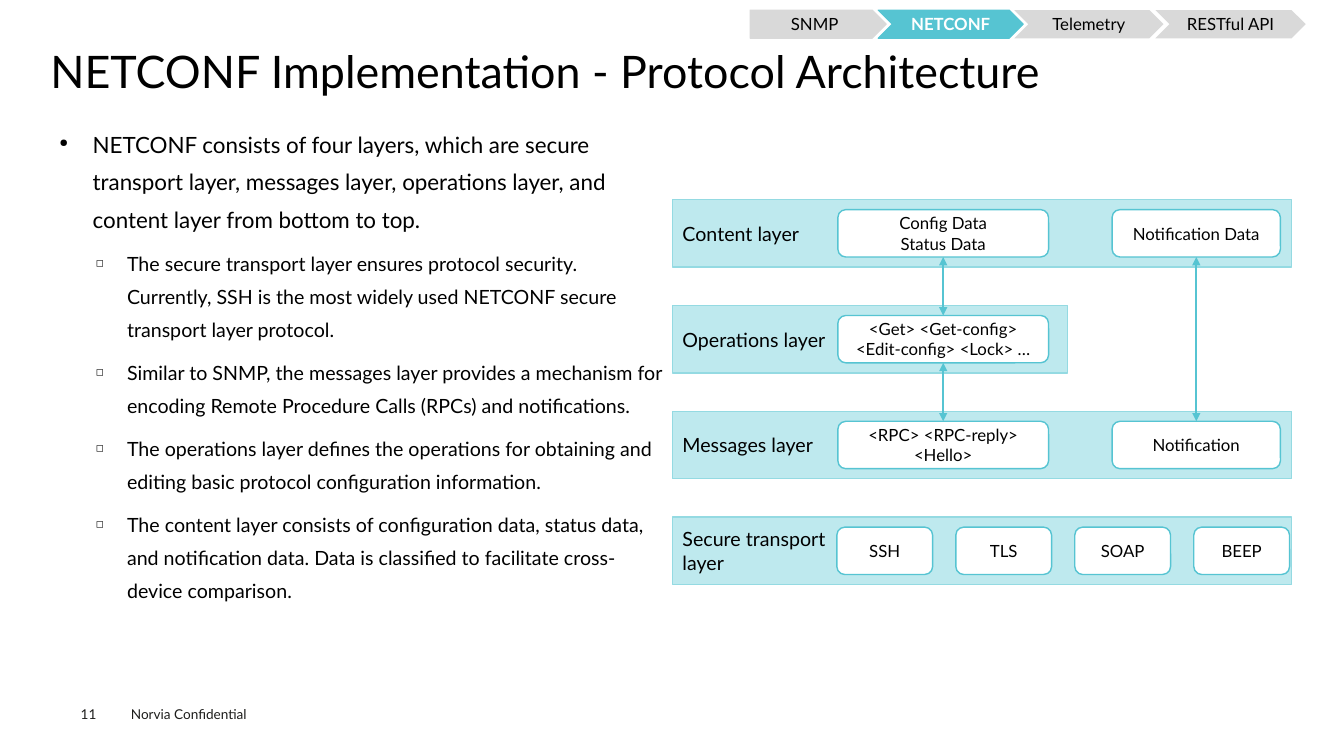
"""Build the slide on the four layers of the NETCONF protocol architecture."""
from lxml.etree import SubElement
from pptx import Presentation
from pptx.dml.color import RGBColor
from pptx.enum.shapes import MSO_CONNECTOR, MSO_SHAPE as SHAPE
from pptx.enum.text import MSO_ANCHOR as ANCHOR, MSO_AUTO_SIZE as AUTO_SIZE, PP_ALIGN as ALIGN
from pptx.oxml.ns import qn
from pptx.util import Pt

PX = 9144
FONT = "Lato"
BLACK = RGBColor(0x00, 0x00, 0x00)
WHITE = RGBColor(0xFF, 0xFF, 0xFF)
INK = RGBColor(0x1D, 0x1D, 0x1B)
GREY = RGBColor(0xD9, 0xD9, 0xD9)
TEAL = RGBColor(0x56, 0xC4, 0xD2)
BAND_FILL = RGBColor(0xBE, 0xE9, 0xEE)
BAND_EDGE = RGBColor(0x94, 0xDA, 0xE2)


def write(shape, text, size, color=BLACK, align=ALIGN.LEFT, anchor=ANCHOR.TOP, insets=(10, 5)):
    """Fill a shape with one paragraph per line of text."""
    frame = shape.text_frame
    frame.word_wrap = True
    frame.auto_size = AUTO_SIZE.NONE
    frame.vertical_anchor = anchor
    frame.margin_left = frame.margin_right = insets[0] * PX
    frame.margin_top = frame.margin_bottom = insets[1] * PX
    frame.text = text
    for paragraph in frame.paragraphs:
        paragraph.alignment = align
        paragraph.font.name = FONT
        paragraph.font.size = Pt(size)
        paragraph.font.color.rgb = color
    return frame


def add_block(shapes, kind, box, fill, edge, edge_width=1):
    """Add a filled preset shape, outlined when an edge colour is given."""
    block = shapes.add_shape(kind, *(length * PX for length in box))
    block.shadow.inherit = False
    block.fill.solid()
    block.fill.fore_color.rgb = fill
    if edge is None:
        block.line.fill.background()
    else:
        block.line.color.rgb = edge
        block.line.width = Pt(edge_width)
    return block


deck = Presentation()
deck.slide_width, deck.slide_height = 1333 * PX, 750 * PX
slide = deck.slides.add_slide(deck.slide_layouts[5])

title = slide.shapes.title
title.left, title.top, title.width, title.height = 50 * PX, 49 * PX, 1235 * PX, 54 * PX
heading = write(title, "NETCONF Implementation - Protocol Architecture", 32, insets=(0, 0))
heading.paragraphs[0].line_spacing = 0.9

footer = slide.shapes.add_textbox(120 * PX, 695 * PX, 160 * PX, 27 * PX)
write(footer, "Norvia Confidential", 9.7, INK)
page_number = slide.shapes.add_textbox(80 * PX, 700 * PX, 55 * PX, 16 * PX)
write(page_number, "11", 9.7, INK, insets=(0, 0))

points = [
    "NETCONF consists of four layers, which are secure transport layer, messages layer, "
    "operations layer, and content layer from bottom to top.",
    "The secure transport layer ensures protocol security. Currently, SSH is the most widely "
    "used NETCONF secure transport layer protocol.",
    "Similar to SNMP, the messages layer provides a mechanism for encoding Remote Procedure "
    "Calls (RPCs) and notifications.",
    "The operations layer defines the operations for obtaining and editing basic protocol "
    "configuration information.",
    "The content layer consists of configuration data, status data, and notification data. "
    "Data is classified to facilitate cross-device comparison.",
]
overview = slide.shapes.add_textbox(50 * PX, 115 * PX, 617 * PX, 533 * PX).text_frame
overview.word_wrap = True
overview.margin_left = overview.margin_right = 9 * PX
overview.margin_top = overview.margin_bottom = 4 * PX
for index, point in enumerate(points):
    paragraph = overview.paragraphs[0] if index == 0 else overview.add_paragraph()
    size, bullet, margin, indent = (14, "◻", 67, -31) if index else (16, "●", 33, -33)
    paragraph.text = point
    paragraph.level = 1 if index else 0
    paragraph.line_spacing = 1.4
    paragraph.space_before = Pt(7.2 if index else 0)
    properties = paragraph._p.get_or_add_pPr()
    properties.set("marL", str(margin * PX))
    properties.set("indent", str(indent * PX))
    SubElement(properties, qn("a:buSzPct")).set("val", "50000")
    SubElement(properties, qn("a:buChar")).set("char", bullet)
    paragraph.font.name = FONT
    paragraph.font.size = Pt(size)
    paragraph.font.color.rgb = BLACK

BAND_TOP, BAND_PITCH = 198, 105
layers = [
    ("Content layer", 614,
     [("Config Data\nStatus Data", 831, 209), ("Notification Data", 1103, 167)]),
    ("Operations layer", 392,
     [("<Get> <Get-config> <Edit-config> <Lock> …", 831, 209)]),
    ("Messages layer", 614,
     [("<RPC> <RPC-reply> <Hello>", 831, 209), ("Notification", 1103, 167)]),
    ("Secure transport\nlayer", 614,
     [(name, 830 + 118 * column, 95)
      for column, name in enumerate(["SSH", "TLS", "SOAP", "BEEP"])]),
]
layer_boxes = []
for row, (layer, band_width, contents) in enumerate(layers):
    top = BAND_TOP + BAND_PITCH * row
    band = add_block(slide.shapes, SHAPE.RECTANGLE, (667, top, band_width, 67), BAND_FILL, BAND_EDGE)
    write(band, layer, 14, anchor=ANCHOR.MIDDLE)
    boxes = []
    for content, left, width in contents:
        box = add_block(slide.shapes, SHAPE.ROUNDED_RECTANGLE, (left, top + 10, width, 47), WHITE, TEAL)
        write(box, content, 12, align=ALIGN.CENTER, anchor=ANCHOR.MIDDLE)
        boxes.append(box)
    layer_boxes.append(boxes)

content_boxes, operation_boxes, message_boxes, transport_boxes = layer_boxes
for upper, lower in [
    (content_boxes[0], operation_boxes[0]),
    (content_boxes[1], message_boxes[1]),
    (operation_boxes[0], message_boxes[0]),
]:
    arrow = slide.shapes.add_connector(MSO_CONNECTOR.STRAIGHT, 0, 0, 0, 0)
    arrow.begin_connect(upper, 2)
    arrow.end_connect(lower, 0)
    arrow.line.color.rgb = TEAL
    arrow.line.width = Pt(1.5)
    for end in ("a:headEnd", "a:tailEnd"):
        SubElement(arrow.line._get_or_add_ln(), qn(end)).set("type", "triangle")
    SubElement(arrow._element.spPr, qn("a:effectLst"))

chapters = slide.shapes.add_group_shape().shapes
for chapter, kind, left, width, fill, edge in [
    ("SNMP", SHAPE.PENTAGON, 744, 135, GREY, GREY),
    ("NETCONF", SHAPE.CHEVRON, 871, 144, TEAL, TEAL),
    ("Telemetry", SHAPE.CHEVRON, 1006, 148, GREY, None),
    ("RESTful API", SHAPE.CHEVRON, 1146, 149, GREY, None),
]:
    current = chapter == "NETCONF"
    tab = add_block(chapters, kind, (left, 10, width, 28), fill, edge, 0.75)
    label = write(tab, chapter, 12, WHITE if current else BLACK, ALIGN.CENTER, ANCHOR.MIDDLE, (0, 0))
    label.paragraphs[0].font.bold = current

deck.save("out.pptx")
